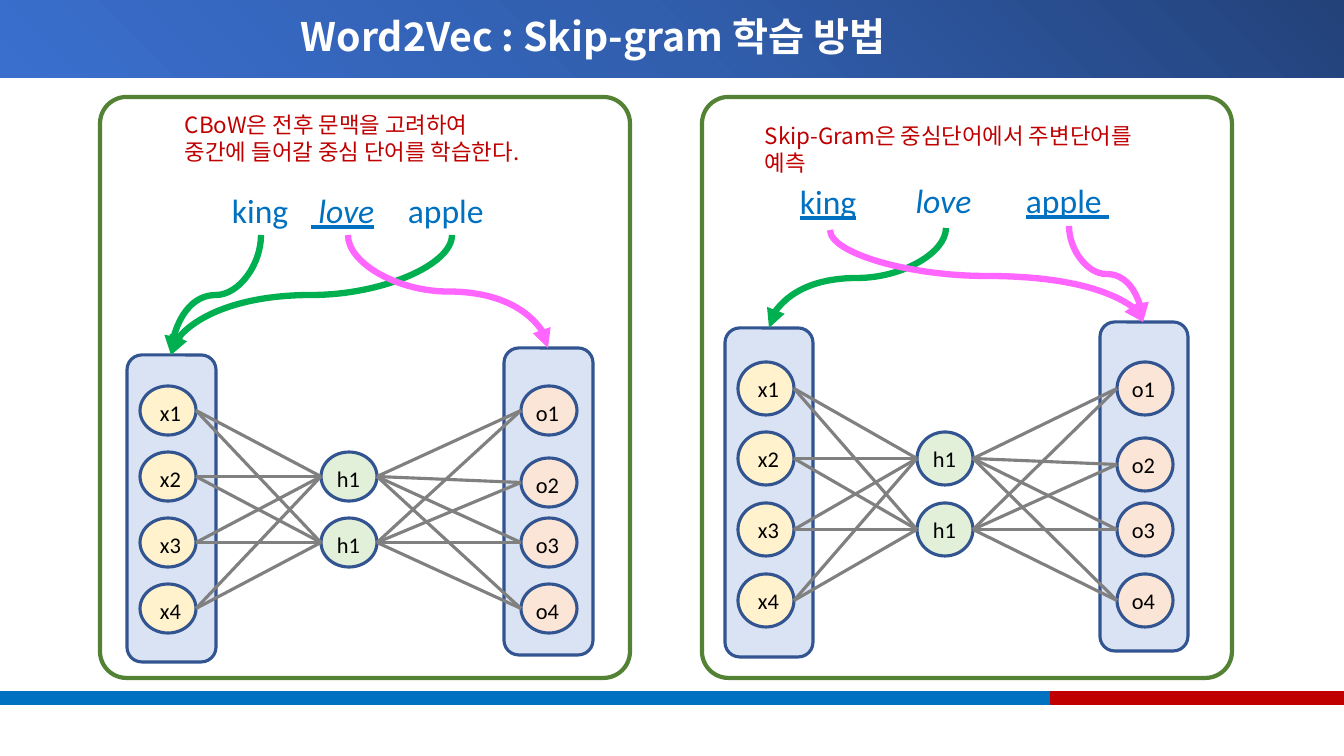
from itertools import product

from pptx import Presentation, util as u
from pptx.dml.color import RGBColor
from pptx.enum import shapes, text
from pptx.oxml import parse_xml
from pptx.oxml.ns import nsdecls, qn
from pptx.oxml.xmlchemy import OxmlElement

PX = 914400 / 100.8
LATIN, KOREAN = "Calibri", "Noto Sans CJK KR"

WHITE = RGBColor(0xFF, 0xFF, 0xFF)
BLACK = RGBColor(0x00, 0x00, 0x00)
BLUE = RGBColor(0x00, 0x70, 0xC0)
RED = RGBColor(0xC0, 0x00, 0x00)
NAVY = RGBColor(0x32, 0x54, 0x91)
PALE_BLUE = RGBColor(0xDA, 0xE3, 0xF3)
CREAM = RGBColor(0xFF, 0xF2, 0xCC)
MINT = RGBColor(0xE2, 0xF0, 0xD9)
PEACH = RGBColor(0xFB, 0xE5, 0xD6)
GRAY = RGBColor(0x80, 0x80, 0x80)
OLIVE = RGBColor(0x54, 0x82, 0x35)
GREEN = RGBColor(0x00, 0xB0, 0x50)
PINK = RGBColor(0xFF, 0x66, 0xFF)

HEADER_GRADIENT = f"""<a:gradFill {nsdecls("a")} rotWithShape="1"><a:gsLst>
<a:gs pos="0"><a:srgbClr val="23427A"/></a:gs>
<a:gs pos="50000"><a:srgbClr val="315EAD"/></a:gs>
<a:gs pos="100000"><a:srgbClr val="3A6FCE"/></a:gs></a:gsLst>
<a:path path="circle"><a:fillToRect l="100000" b="100000"/></a:path></a:gradFill>"""


def px(*lengths):
    return [u.Emu(round(length * PX)) for length in lengths]


def add_run(paragraph, words, size, font, color, bold=None, italic=None, underline=None):
    run = paragraph.add_run()
    run.text = words
    run.font.size, run.font.name = u.Pt(size), font
    run.font.bold, run.font.italic, run.font.underline = bold, italic, underline
    run.font.color.rgb = color
    if font == KOREAN:
        east_asian = OxmlElement("a:ea")
        east_asian.set("typeface", font)
        run.font._element.find(qn("a:latin")).addnext(east_asian)


def add_box(slide, kind, place, fill=None, line=None, width=2.25):
    box = slide.shapes.add_shape(kind, *px(*place))
    box.shadow.inherit = False
    if fill is None:
        box.fill.background()
    else:
        box.fill.solid()
        box.fill.fore_color.rgb = fill
    if line is None:
        box.line.fill.background()
    else:
        box.line.color.rgb, box.line.width = line, u.Pt(width)
    return box


def add_text(slide, place, lines, size, font, color, **style):
    frame = slide.shapes.add_textbox(*px(*place)).text_frame
    frame.word_wrap = True
    for number, words in enumerate(lines):
        paragraph = frame.add_paragraph() if number else frame.paragraphs[0]
        add_run(paragraph, words, size, font, color, **style)


def add_line(slide, kind, start, end, color, width):
    line = slide.shapes.add_connector(kind, *px(*start, *end))
    line.line.color.rgb, line.line.width = color, u.Pt(width)
    line._element.spPr.append(OxmlElement("a:effectLst"))
    return line


def add_curve(slide, start, end, color):
    """Curved arrow that leaves and arrives vertically: a turned horizontal one."""
    (x1, y1), (x2, y2) = start, end
    mid_x, mid_y = (x1 + x2) / 2, (y1 + y2) / 2
    half_w, half_h = (y2 - y1) / 2, abs(x2 - x1) / 2
    curve = add_line(slide, shapes.MSO_CONNECTOR.CURVE, (mid_x - half_w, mid_y - half_h),
                     (mid_x + half_w, mid_y + half_h), color, 4.5)
    xfrm = curve._element.spPr.find(qn("a:xfrm"))
    if x2 < x1:
        xfrm.set("rot", "5400000")
    else:
        xfrm.set("rot", "16200000")
        xfrm.set("flipH", "1")
    arrowhead = OxmlElement("a:tailEnd")
    arrowhead.set("type", "triangle")
    curve.line._get_or_add_ln().append(arrowhead)


def add_layer(slide, left, tops, height, fill, names, indent):
    """Draw a column of neurons and return the middles of their left and right sides."""
    for top, name in zip(tops, names):
        add_box(slide, shapes.MSO_SHAPE.OVAL, (left, top, 56, height), fill, NAVY)
        add_text(slide, (left + indent, top + 8, 50, 37), [name], 16, LATIN, BLACK)
    middles = [top + height / 2 for top in tops]
    return [(left, y) for y in middles], [(left + 56, y) for y in middles]


def add_network(slide, bars, lefts, tops, second_output, height):
    for bar in bars:
        add_box(slide, shapes.MSO_SHAPE.ROUNDED_RECTANGLE, bar, PALE_BLUE, NAVY)
    output_tops = [tops[0], second_output, *tops[2:]]
    layers = [
        add_layer(slide, lefts[0], tops, height, CREAM, ["x1", "x2", "x3", "x4"], 10),
        add_layer(slide, lefts[1], tops[1:3], height, MINT, ["h1", "h1"], 6),
        add_layer(slide, lefts[2], output_tops, height, PEACH, ["o1", "o2", "o3", "o4"], 5),
    ]
    for (_, exits), (entries, _) in zip(layers, layers[1:]):
        for start, end in product(exits, entries):
            add_line(slide, shapes.MSO_CONNECTOR.STRAIGHT, start, end, GRAY, 2.25)


def add_panel(slide, frame_left, network, words, curves, caption_place, caption):
    add_network(slide, *network)
    for place, word, style in words:
        add_text(slide, place, [word], 24, LATIN, BLUE, **style)
    for curve in curves:
        add_curve(slide, *curve)
    add_text(slide, caption_place, caption, 16, KOREAN, RED)
    frame = add_box(slide, shapes.MSO_SHAPE.ROUNDED_RECTANGLE,
                    (frame_left, 97, 530, 581), line=OLIVE, width=3)
    frame.adjustments[0] = 0.05


def add_header(slide):
    rectangle = shapes.MSO_SHAPE.RECTANGLE
    header = add_box(slide, rectangle, (0, 0, 1344, 78), BLUE)
    properties = header._element.spPr
    properties.replace(properties.find(qn("a:solidFill")), parse_xml(HEADER_GRADIENT))
    add_box(slide, rectangle, (0, 692, 1051, 12), BLUE, BLUE, 1)
    add_box(slide, rectangle, (1051, 692, 293, 12), RED, RED, 1)

    title = slide.shapes.title
    slide.shapes._spTree.append(title._element)
    title.left, title.top, title.width, title.height = px(35, 1, 1125, 75)
    title.text_frame.auto_size = text.MSO_AUTO_SIZE.NONE
    title.text_frame.vertical_anchor = text.MSO_ANCHOR.MIDDLE
    heading = title.text_frame.paragraphs[0]
    heading.alignment, heading.line_spacing = text.PP_ALIGN.CENTER, 0.9
    add_run(heading, "Word2Vec : Skip-gram 학습 방법 ", 28, KOREAN, WHITE, bold=True)


def main():
    deck = Presentation()
    deck.slide_width, deck.slide_height = px(1344, 756)
    slide = deck.slides.add_slide(deck.slide_layouts[5])
    add_header(slide)

    given, target = {"underline": True}, {"italic": True}
    add_panel(
        slide, 702,
        network=([(725, 328, 88, 329), (1100, 322, 88, 329)], (738, 917, 1117),
                 [362, 432, 503, 574], 438, 53),
        words=[((790, 176, 82, 52), "king", given),
               ((898, 175, 94, 52), " love", target),
               ((1016, 175, 108, 50), "apple ", given)],
        curves=[((946, 228), (769, 328), GREEN),
                ((830, 230), (1143, 322), PINK),
                ((1069, 226), (1143, 322), PINK)],
        caption_place=(755, 117, 425, 37),
        caption=["Skip-Gram은 중심단어에서 주변단어를 예측"])
    add_panel(
        slide, 100,
        network=([(127, 355, 89, 307), (504, 348, 89, 307)], (140, 321, 521),
                 [386, 452, 518, 584], 458, 49),
        words=[((222, 185, 82, 49), "king", {}),
               ((301, 185, 95, 49), " love", given | target),
               ((398, 185, 107, 49), "apple", {})],
        curves=[((261, 235), (171, 355), GREEN),
                ((452, 235), (171, 355), GREEN),
                ((348, 235), (548, 348), PINK)],
        caption_place=(175, 106, 382, 65),
        caption=["CBoW은 전후 문맥을 고려하여", "중간에 들어갈 중심 단어를 학습한다."])
    deck.save("out.pptx")


if __name__ == "__main__":
    main()
